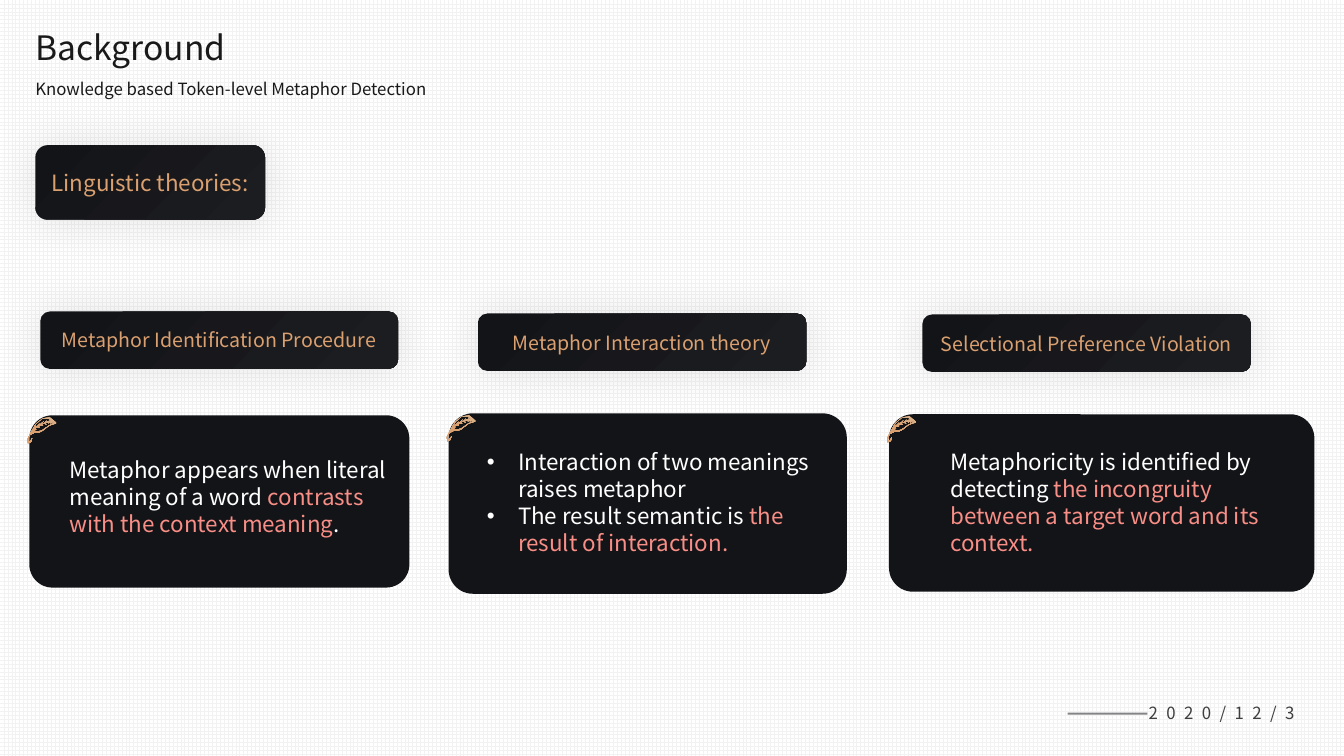
from dataclasses import dataclass

from lxml.etree import SubElement as Sub
from pptx import Presentation
from pptx.dml.color import RGBColor as Rgb
from pptx.enum.dml import MSO_PATTERN as Pat
from pptx.enum.shapes import MSO_SHAPE as Kind
from pptx.enum.text import MSO_ANCHOR as Anchor, MSO_AUTO_SIZE as Fit, PP_ALIGN as Align
from pptx.oxml.ns import qn
from pptx.util import Inches, Pt


@dataclass(frozen=True)
class Theme:
    head: str = "Noto Sans CJK JP"
    body: str = "Noto Sans CJK SC"
    ink: str = "191919"
    date: str = "3E3E3E"
    rule: str = "838486"
    card: str = "131418"
    white: str = "FFFFFF"
    grid: str = "F2F2F2"
    rose: str = "F88E86"
    glow: str = "343434"
    dark: tuple = ((0, "131418"), (100, "1C1D20"))
    gold: tuple = ((0, "DCB58D"), (35, "DAA070"), (100, "E6C3A0"))
    leaf: tuple = ((0, "DCB58D"), (50, "DAA070"), (100, "DAA070"))
    big: int = 24
    mid: int = 16
    tag: int = 14
    small: int = 12


T = Theme()
PAGE = Inches(13.33), Inches(7.5)
COL, ROW = PAGE[0] / 100, PAGE[1] / 100  # a grid of 100 columns and 100 rows

# Leaf contours in hundredths of an inch: rim, upper and lower veins
LEAF = (
    ((6, 22), (4, 25), (2, 25), (3, 21), (4, 19), (8, 17), (12, 17), (16, 15),
     (22.5, 10), (29, 8), (29, 7), (23, 2), (16, 3), (9, 9), (4, 18),
     (1.5, 23), (2, 27), (5, 25.7)),
    ((16, 3), (22, 3.5), (27, 7), (24, 6), (25, 5), (22, 6), (23, 5), (21, 6),
     (18, 7), (20, 5), (17, 8), (14, 9), (17, 6), (11, 11), (13, 8), (10, 11),
     (8, 13), (9, 11), (7, 14), (5, 16), (10, 8)),
    ((6, 16), (7, 15), (10, 14), (8, 14), (10, 12), (13, 12), (12, 11), (14, 10),
     (16.5, 10), (15, 9), (17, 8), (20, 9), (18, 8), (21, 7), (22, 8), (23, 7),
     (24, 8), (25, 7), (28, 7), (22, 10), (15, 15), (7, 16), (5, 17)),
)


def cells(x, y, w, h):
    return round(x * COL), round(y * ROW), round(w * COL), round(h * ROW)


def blend(root, stops, angle):
    """Add a linear gradient fill as the first fill of root."""
    grad = Sub(root, qn("a:gradFill"), rotWithShape="1")
    group = Sub(grad, qn("a:gsLst"))
    for pos, tone in stops:
        stop = Sub(group, qn("a:gs"), pos=str(pos * 1000))
        Sub(stop, qn("a:srgbClr"), val=tone)
    Sub(grad, qn("a:lin"), ang=str(angle * 60000), scaled="0")
    return grad


def paint(shape, fill, angle=44):
    shape.shadow.inherit = False
    shape.line.fill.background()
    if isinstance(fill, str):
        shape.fill.solid()
        shape.fill.fore_color.rgb = Rgb.from_string(fill)
    else:
        root = shape.fill._xPr
        root.find(qn("a:ln")).addprevious(blend(root, fill, angle))


def halo(shape):
    effects = shape._element.spPr.find(qn("a:effectLst"))
    outer = Sub(effects, qn("a:outerShdw"), blurRad=str(Pt(30)), dist="0",
                dir="0", algn="ctr", rotWithShape="0")
    tone = Sub(outer, qn("a:srgbClr"), val=T.glow)
    Sub(tone, qn("a:alpha"), val="12000")


def write(para, parts, size, face):
    for text, tone in parts:
        run = para.add_run()
        run.text = text
        run.font.size, run.font.name = Pt(size), face
        if isinstance(tone, str):
            run.font.color.rgb = Rgb.from_string(tone)
        else:
            props = run._r.get_or_add_rPr()
            props.insert(0, blend(props, tone, 44))


def label(slide, box, paras, size, face, lead=None, flush=False, dots=False):
    shape = slide.shapes.add_textbox(*cells(*box))
    frame = shape.text_frame
    frame.word_wrap, frame.auto_size = True, Fit.SHAPE_TO_FIT_TEXT
    if flush:
        frame.margin_left = frame.margin_top = frame.margin_bottom = 0
    for i, parts in enumerate(paras):
        para = frame.add_paragraph() if i else frame.paragraphs[0]
        if lead:
            para.line_spacing = lead
        if dots:
            props = para._p.get_or_add_pPr()
            props.set("marL", str(Inches(0.31)))
            props.set("indent", str(-Inches(0.31)))
            Sub(props, qn("a:buFont"), typeface="Arial")
            Sub(props, qn("a:buChar"), char="•")
        write(para, parts, size, face)
    return shape


def plate(slide, box, text, size):
    shape = slide.shapes.add_shape(Kind.ROUNDED_RECTANGLE, *cells(*box))
    paint(shape, T.dark)
    halo(shape)
    frame = shape.text_frame
    frame.word_wrap, frame.vertical_anchor = True, Anchor.MIDDLE
    para = frame.paragraphs[0]
    para.alignment = Align.CENTER
    write(para, [(text, T.gold)], size, T.head)


def leaf(slide, x, y):
    zoom = 10  # keeps tenths of a unit
    pen = None
    for line in LEAF:
        pts = [(px * zoom, py * zoom) for px, py in line]
        if pen is None:
            pen = slide.shapes.build_freeform(*pts[0], scale=Inches(0.0103) / zoom)
        else:
            pen.move_to(*pts[0])
        pen.add_line_segments(pts[1:], close=True)
    left, top, _, _ = cells(x, y, 0, 0)
    paint(pen.convert_to_shape(left, top), T.leaf, 120)


def header(slide, x, y):
    label(slide, (x, y, 29.93, 5.73), [[("Background", T.ink)]],
          T.big, T.head, 1.14, True)
    label(slide, (x, y + 7.2, 33.53, 2.8),
          [[("Knowledge based Token-level Metaphor Detection", T.ink)]],
          T.small, T.head, 1.14, True)
    plate(slide, (x, y + 16.4, 17.1, 9.87), "Linguistic theories:", T.mid)


def theory(slide, box, tag, name, body, paras, dots=False):
    """Draw a card; tag and body are boxes offset from its top left corner."""
    x, y, _, _ = box
    card = slide.shapes.add_shape(Kind.ROUNDED_RECTANGLE, *cells(*box))
    card.adjustments[0] = 0.135
    paint(card, T.card)
    leaf(slide, x - 0.25, y)
    plate(slide, (x + tag[0], y + tag[1], tag[2], 7.6), name, T.tag)
    label(slide, (x + body[0], y + body[1], 26.1, body[2]), paras,
          T.mid, T.body, dots=dots)


def footer(slide, x, y):
    rule = slide.shapes.add_shape(Kind.RECTANGLE, *cells(x, y, 5.93, 0.27))
    paint(rule, T.rule)
    date = label(slide, (x + 11.01, y - 12.14, 2.78, 22.67),
                 [[("2020/12/3", T.date)]], T.small, T.head, 1.5, True)
    date.rotation = 270
    date.text_frame._txBody.bodyPr.set("vert", "eaVert")
    para = date.text_frame.paragraphs[0]
    para.alignment = Align.CENTER
    para.runs[0]._r.get_or_add_rPr().set("spc", "600")


def main():
    deck = Presentation()
    deck.slide_width, deck.slide_height = PAGE
    slide = deck.slides.add_slide(deck.slide_layouts[6])
    back = slide.background.fill
    back.patterned()
    back.pattern = Pat.LARGE_GRID
    back.fore_color.rgb = Rgb.from_string(T.grid)
    back.back_color.rgb = Rgb.from_string(T.white)

    footer(slide, 79.44, 94.27)
    theory(slide, (2.18, 54.93, 28.28, 22.8),
           (0.82, -13.73, 26.63), "Metaphor Identification Procedure",
           (2.25, 4.8, 12.13),
           [[("Metaphor appears when literal meaning of a word ", T.white),
             ("contrasts with the context meaning", T.rose), (".", T.white)]])
    theory(slide, (33.38, 54.67, 29.63, 23.87),
           (2.17, -13.2, 24.45), "Metaphor Interaction theory",
           (2.1, 4, 15.73),
           [[("Interaction of two meanings raises metaphor", T.white)],
            [("The result semantic is", T.white),
             (" the result of interaction.", T.rose)]], dots=True)
    theory(slide, (66.15, 54.8, 31.65, 23.47),
           (2.48, -13.2, 24.45), "Selectional Preference Violation",
           (3.83, 3.87, 15.73),
           [[("Metaphoricity is identified by detecting ", T.white),
             ("the incongruity between a target word and its context.", T.rose)]])
    header(slide, 2.63, 2.8)
    deck.save("out.pptx")


if __name__ == "__main__":
    main()
